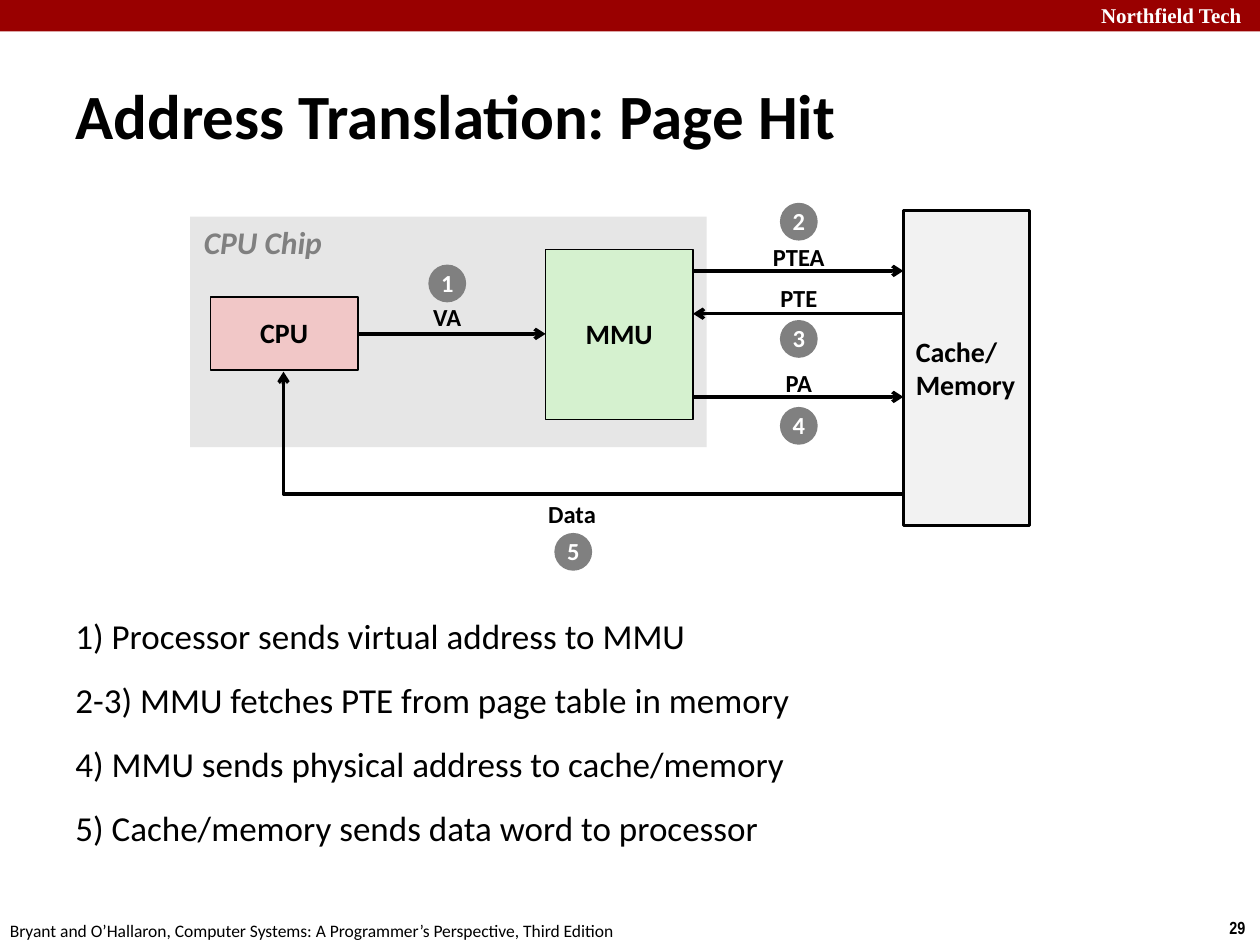
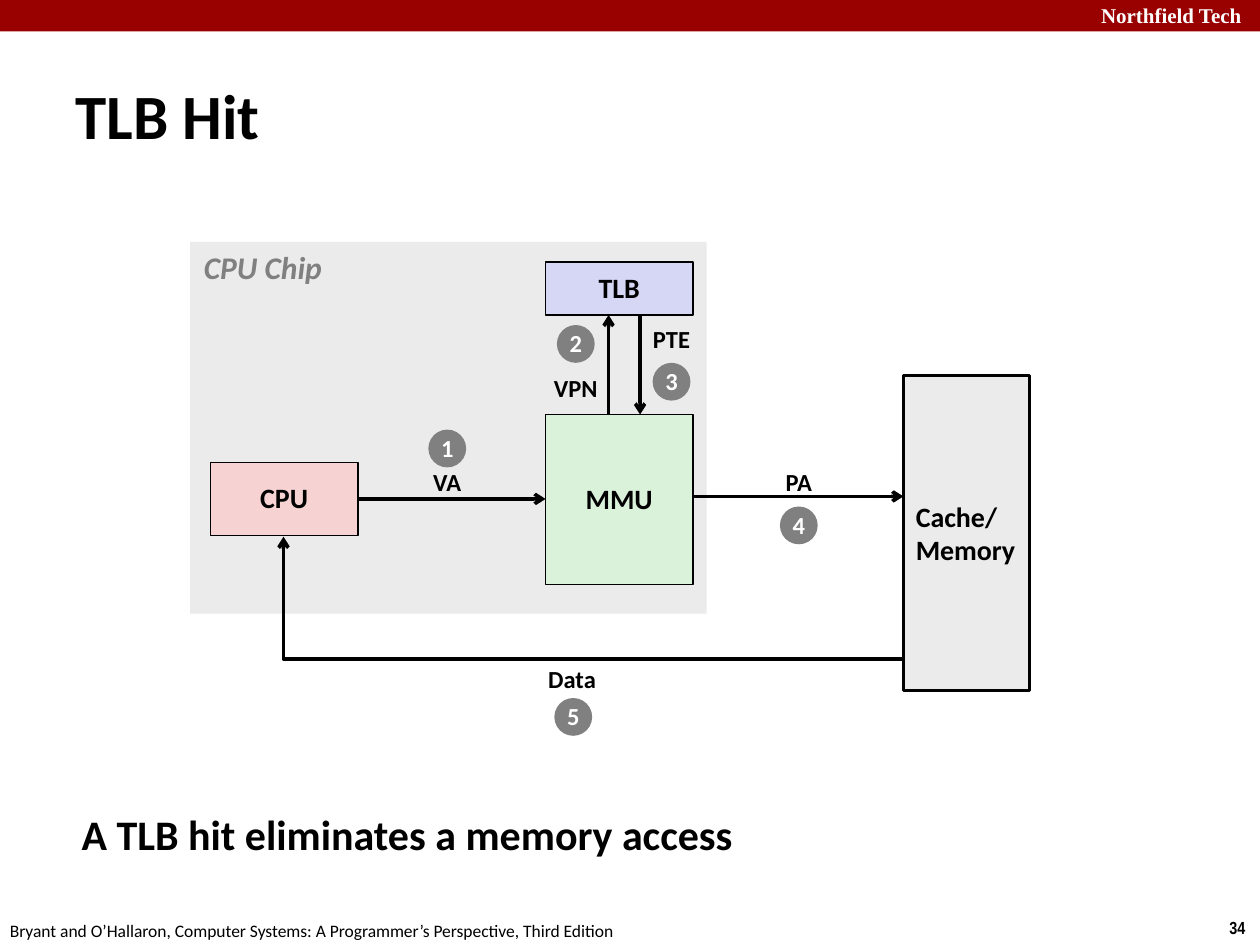
from dataclasses import dataclass

from lxml.etree import SubElement
from pptx import Presentation
from pptx.dml.color import RGBColor
from pptx.enum.shapes import MSO_CONNECTOR, MSO_SHAPE
from pptx.enum.text import MSO_ANCHOR, PP_ALIGN
from pptx.oxml.ns import qn
from pptx.shapes.autoshape import Shape
from pptx.shapes.connector import Connector
from pptx.slide import Slide
from pptx.util import Inches, Pt

RED = RGBColor(0x99, 0x00, 0x00)
BLACK = RGBColor(0x00, 0x00, 0x00)
WHITE = RGBColor(0xFF, 0xFF, 0xFF)
GRAY = RGBColor(0x80, 0x80, 0x80)
SILVER = RGBColor(0xE6, 0xE6, 0xE6)
PALE = RGBColor(0xEB, 0xEB, 0xEB)
SNOW = RGBColor(0xF2, 0xF2, 0xF2)
GREEN = RGBColor(0xD5, 0xF1, 0xCF)
MINT = RGBColor(0xDB, 0xF2, 0xDA)
PINK = RGBColor(0xF1, 0xC7, 0xC7)
ROSE = RGBColor(0xF6, 0xD2, 0xD2)
LILAC = RGBColor(0xD6, 0xD6, 0xF5)

SCHOOL = "Northfield Tech"
BOOK = ("Bryant and O’Hallaron, Computer Systems: "
        "A Programmer’s Perspective, Third Edition")
DOT = 0.3
TAG_WIDE = 0.8
TAG_HIGH = 0.33


@dataclass(frozen=True)
class Box:
    left: float
    top: float
    width: float
    height: float


@dataclass(frozen=True)
class Font:
    size: float
    color: RGBColor = BLACK
    bold: bool = True
    slant: bool = False
    name: str = "Calibri"


@dataclass(frozen=True)
class Theme:
    chip: RGBColor
    cpu: RGBColor
    mmu: RGBColor
    store: RGBColor


@dataclass(frozen=True)
class Label:
    text: str
    mid: float
    top: float


@dataclass(frozen=True)
class Wire:
    x: float
    y: float
    to_x: float
    to_y: float


HEAD = Font(36)
PART = Font(16)
NOTE = Font(14)
STEP = Font(14, WHITE)


def write(shape: Shape, lines: list[str], font: Font, center: bool = False,
          middle: bool = False, wrap: bool = False, gap: float = 0) -> None:
    frame = shape.text_frame
    frame.word_wrap = wrap
    frame.vertical_anchor = MSO_ANCHOR.MIDDLE if middle else MSO_ANCHOR.TOP
    for index, line in enumerate(lines):
        para = frame.add_paragraph() if index else frame.paragraphs[0]
        para.alignment = PP_ALIGN.CENTER if center else PP_ALIGN.LEFT
        para.space_before = Pt(gap)
        if center:
            para.line_spacing = 0.98
        run = para.add_run()
        run.text = line
        run.font.name = font.name
        run.font.size = Pt(font.size)
        run.font.bold = font.bold
        run.font.italic = font.slant
        run.font.color.rgb = font.color


def add_text(slide: Slide, box: Box, lines: list[str], font: Font,
             center: bool = False, middle: bool = False,
             wrap: bool = False, gap: float = 0) -> None:
    shape = slide.shapes.add_textbox(Inches(box.left), Inches(box.top),
                                     Inches(box.width), Inches(box.height))
    write(shape, lines, font, center, middle, wrap, gap)


def add_block(slide: Slide, box: Box, fill: RGBColor, edge: float = 0,
              kind: MSO_SHAPE = MSO_SHAPE.RECTANGLE) -> Shape:
    shape = slide.shapes.add_shape(kind, Inches(box.left), Inches(box.top),
                                   Inches(box.width), Inches(box.height))
    shape.shadow.inherit = False
    shape.fill.solid()
    shape.fill.fore_color.rgb = fill
    if edge:
        shape.line.color.rgb = BLACK
        shape.line.width = Pt(edge)
    else:
        shape.line.fill.background()
    return shape


def add_part(slide: Slide, box: Box, fill: RGBColor, name: str) -> None:
    write(add_block(slide, box, fill, 1), [name], PART, True, True)


def add_label(slide: Slide, label: Label) -> None:
    box = Box(label.mid - TAG_WIDE / 2, label.top, TAG_WIDE, TAG_HIGH)
    add_text(slide, box, [label.text], NOTE, True, True)


def add_step(slide: Slide, step: Label) -> None:
    box = Box(step.mid - DOT / 2, step.top, DOT, DOT)
    shape = add_block(slide, box, GRAY, kind=MSO_SHAPE.OVAL)
    write(shape, [step.text], STEP, True, True)


def add_arrow(slide: Slide, wire: Wire,
              kind: MSO_CONNECTOR = MSO_CONNECTOR.STRAIGHT) -> Connector:
    arrow = slide.shapes.add_connector(kind, Inches(wire.x), Inches(wire.y),
                                       Inches(wire.to_x), Inches(wire.to_y))
    arrow.line.color.rgb = BLACK
    arrow.line.width = Pt(2)
    form = arrow._element.spPr
    SubElement(form.find(qn("a:ln")), qn("a:tailEnd"), type="arrow")
    SubElement(form, qn("a:effectLst"))
    return arrow


def add_bend(slide: Slide, wire: Wire) -> None:
    form = add_arrow(slide, wire, MSO_CONNECTOR.ELBOW)._element.spPr
    form.find(qn("a:prstGeom")).set("prst", "bentConnector2")
    form.find(qn("a:xfrm")).set("rot", "10800000")


def add_frame(deck: Presentation, title: str, number: int) -> Slide:
    slide = deck.slides.add_slide(deck.slide_layouts[6])
    add_block(slide, Box(0, 0, 10, 0.25), RED)
    add_text(slide, Box(8.64, -0.03, 1.43, 0.3), [SCHOOL],
             Font(12, WHITE, name="Times New Roman"), wrap=True)
    add_text(slide, Box(9.66, 7.23, 0.34, 0.27), [str(number)],
             Font(10, name="Arial Narrow"))
    add_text(slide, Box(-0.02, 7.25, 5.08, 0.27), [BOOK],
             Font(10, bold=False))
    add_text(slide, Box(0.5, 0.48, 9.53, 0.86), [title], HEAD,
             middle=True, wrap=True)
    return slide


def add_chip(slide: Slide, chip: Box, theme: Theme, top: float) -> None:
    add_block(slide, chip, theme.chip)
    add_text(slide, Box(1.52, chip.top, 1.16, 0.4), ["CPU Chip"],
             Font(18, GRAY, slant=True))
    add_part(slide, Box(4.33, top + 0.31, 1.17, 1.35), theme.mmu, "MMU")
    add_part(slide, Box(1.67, top + 0.69, 1.17, 0.58), theme.cpu, "CPU")
    store = add_block(slide, Box(7.17, top, 1, 2.5), theme.store, 1.5)
    write(store, ["Cache/", "Memory"], PART, middle=True)
    add_arrow(slide, Wire(2.84, top + 0.98, 4.33, top + 0.98))
    add_label(slide, Label("VA", 3.55, top + 0.69))
    add_step(slide, Label("1", 3.55, top + 0.43))
    add_bend(slide, Wire(2.25, top + 1.28, 7.17, top + 2.25))
    add_label(slide, Label("Data", 4.54, top + 2.25))
    add_step(slide, Label("5", 4.55, top + 2.56))


def add_links(slide: Slide, wires: list[Wire], labels: list[Label],
              steps: list[Label]) -> None:
    for wire in wires:
        add_arrow(slide, wire)
    for label in labels:
        add_label(slide, label)
    for step in steps:
        add_step(slide, step)


def draw_page(deck: Presentation) -> None:
    slide = add_frame(deck, "Address Translation: Page Hit", 29)
    add_chip(slide, Box(1.51, 1.72, 4.1, 1.83),
             Theme(SILVER, PINK, GREEN, SNOW), 1.67)
    add_links(
        slide,
        [Wire(5.5, 2.15, 7.17, 2.15), Wire(7.17, 2.49, 5.5, 2.49),
         Wire(5.5, 3.15, 7.17, 3.15)],
        [Label("PTEA", 6.34, 1.88), Label("PTE", 6.34, 2.21),
         Label("PA", 6.34, 2.88)],
        [Label("2", 6.34, 1.61), Label("3", 6.34, 2.54),
         Label("4", 6.34, 3.23)])
    add_text(slide, Box(0.5, 4.83, 7.42, 2.25), [
        "1) Processor sends virtual address to MMU",
        "2-3) MMU fetches PTE from page table in memory",
        "4) MMU sends physical address to cache/memory",
        "5) Cache/memory sends data word to processor",
    ], Font(20, bold=False), wrap=True, gap=12.5)


def draw_hit(deck: Presentation) -> None:
    slide = add_frame(deck, "TLB Hit", 34)
    add_chip(slide, Box(1.51, 1.92, 4.1, 2.95),
             Theme(PALE, ROSE, MINT, PALE), 2.98)
    add_part(slide, Box(4.33, 2.08, 1.17, 0.42), LILAC, "TLB")
    add_links(
        slide,
        [Wire(4.83, 3.29, 4.83, 2.5), Wire(5.08, 2.5, 5.08, 3.29),
         Wire(5.5, 3.94, 7.17, 3.94)],
        [Label("VPN", 4.57, 2.92), Label("PTE", 5.33, 2.53),
         Label("PA", 6.34, 3.67)],
        [Label("2", 4.57, 2.58), Label("3", 5.33, 2.88),
         Label("4", 6.34, 4.02)])
    add_text(slide, Box(0.55, 6.37, 7.86, 0.63),
             ["A TLB hit eliminates a memory access"], Font(24), wrap=True)


deck = Presentation()
deck.slide_width = Inches(10)
deck.slide_height = Inches(7.5)
draw_page(deck)
draw_hit(deck)
deck.save("out.pptx")
